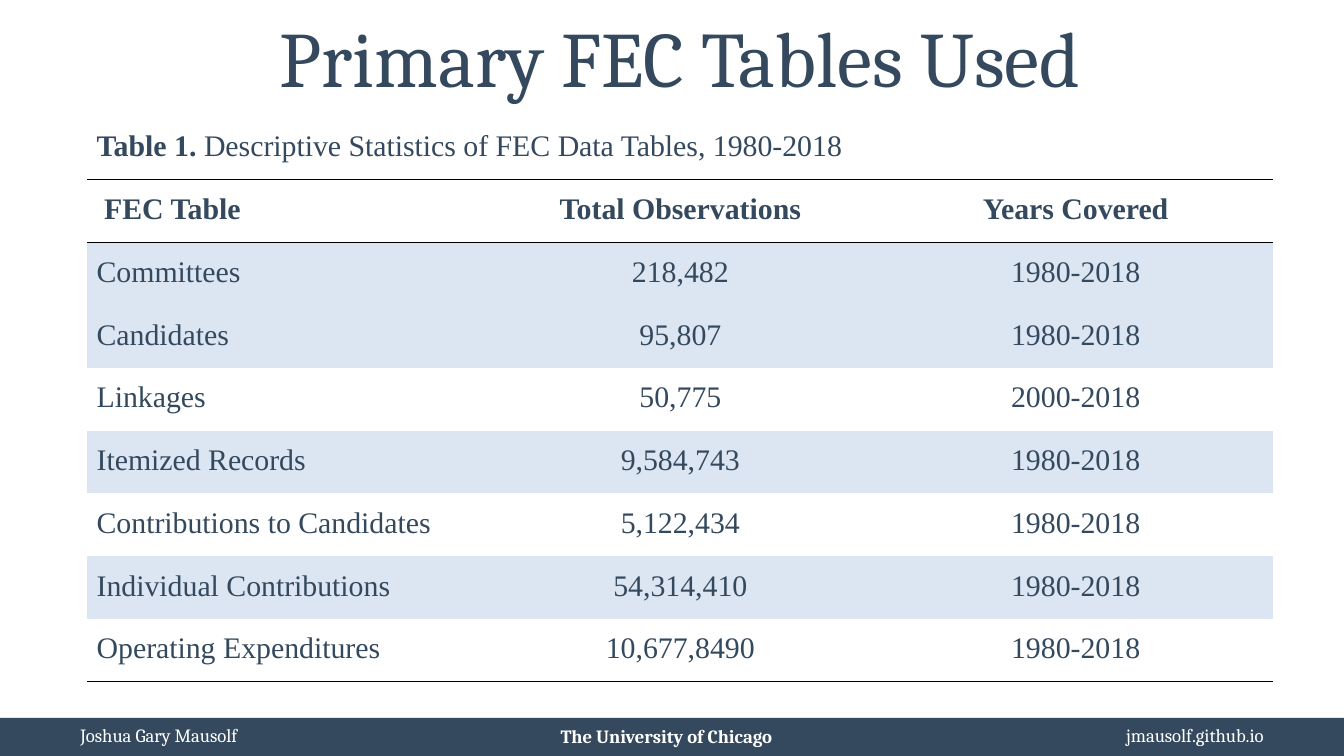
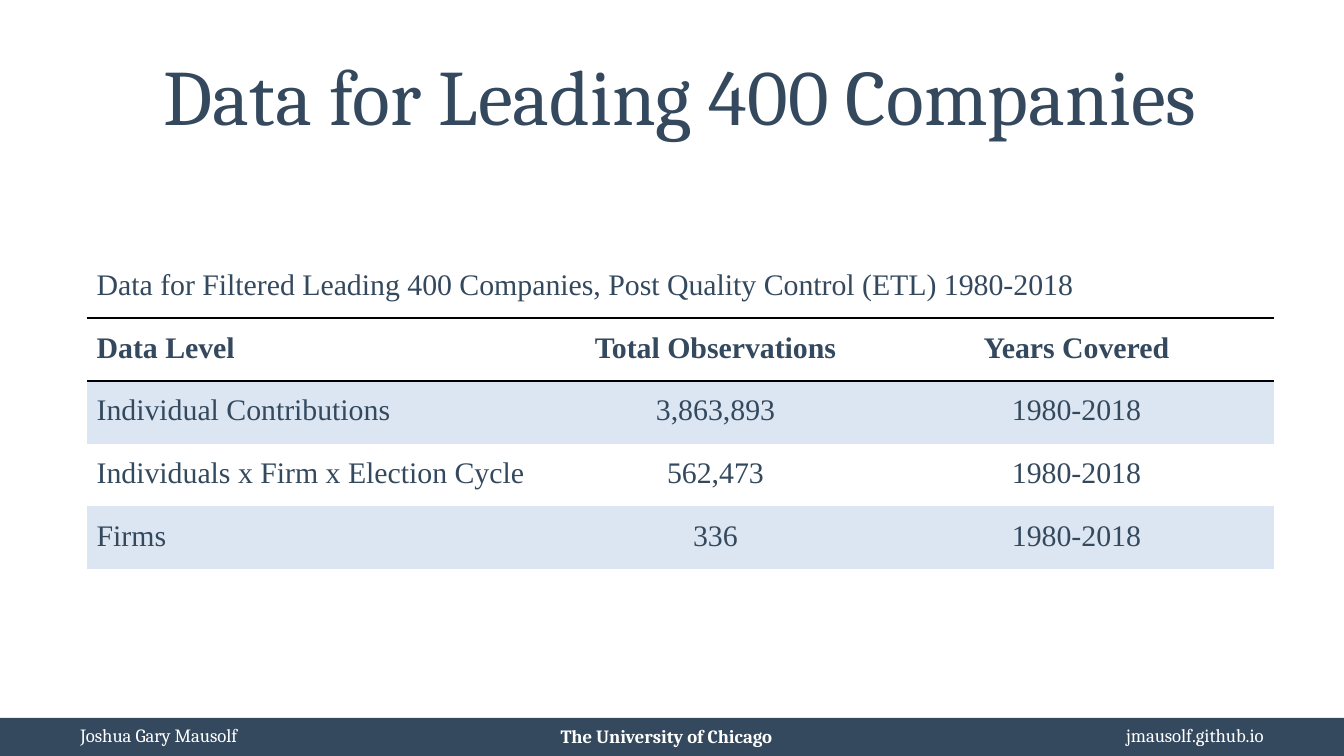
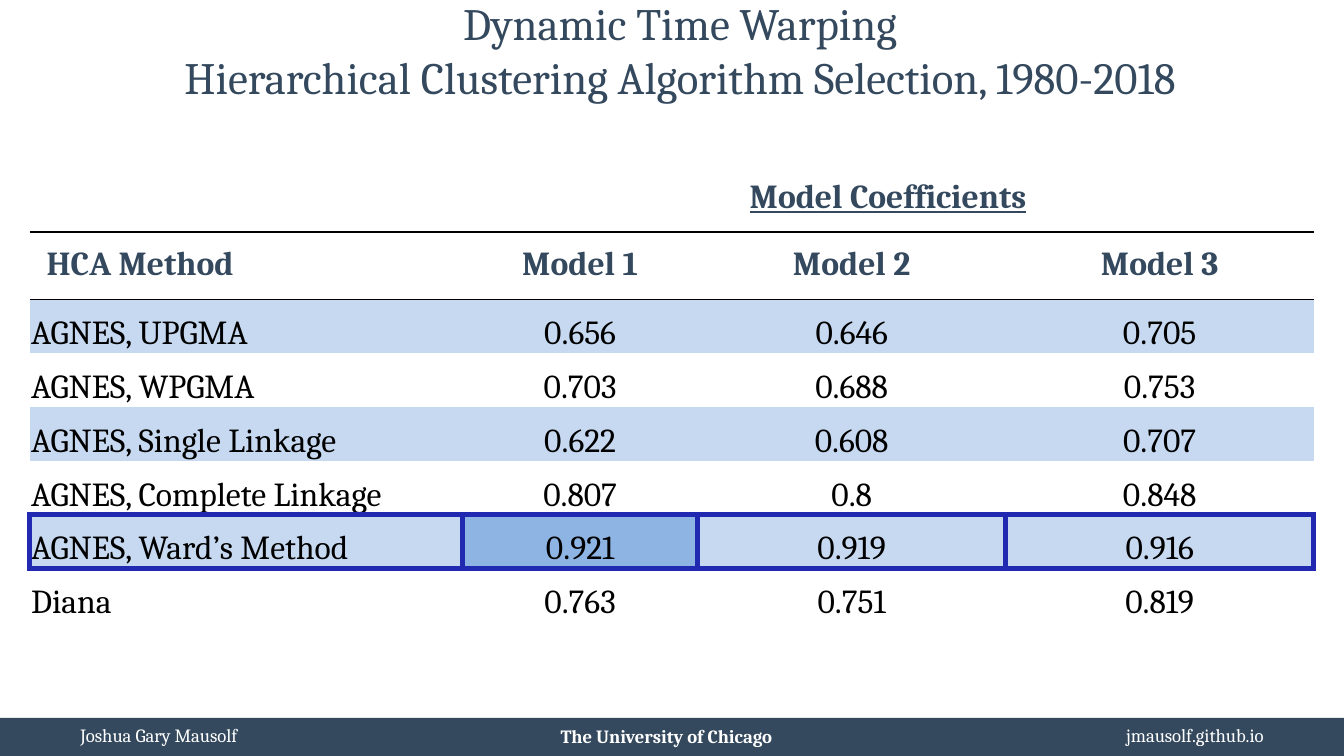
from pptx import Presentation
from pptx.dml.color import RGBColor
from pptx.enum.shapes import MSO_SHAPE
from pptx.enum.text import MSO_ANCHOR, PP_ALIGN
from pptx.oxml import parse_xml
from pptx.oxml.ns import nsdecls, qn
from pptx.util import Pt

SLATE = RGBColor(0x34, 0x49, 0x5E)
WHITE = RGBColor(0xFF, 0xFF, 0xFF)
BLACK = RGBColor(0x00, 0x00, 0x00)
PALE_BLUE = RGBColor(0xDC, 0xE6, 0xF2)
LIGHT_BLUE = RGBColor(0xC6, 0xD9, 0xF1)
MID_BLUE = RGBColor(0x8E, 0xB4, 0xE3)
OUTLINE_BLUE = RGBColor(0x21, 0x29, 0xB0)

SERIF = "Cambria"
TABLE_SERIF = "Times New Roman"
PLAIN_TABLE_STYLE = "{2D5ABB26-0587-4C30-8999-92F81FD0307C}"
BORDER_SIDES = "LRTB"
ROW_HEIGHT = 28.8
HEADER_MARGINS = (5, 7.2, 5, 7.2)
TIGHT_MARGINS = (0.7, 0.7, 0.7, 0)
INDENTED_MARGIN = 9

SLIDE_WIDTH, SLIDE_HEIGHT = 720, 405
FOOTER_BOX = (0, 384.6, SLIDE_WIDTH, 20.4)
TITLE_LEFT, TITLE_WIDTH, TITLE_HEIGHT = 15.8, 697, 54.7

FEC_ROWS = [
    ("FEC Table", "Total Observations", "Years Covered"),
    ("Committees", "218,482", "1980-2018"),
    ("Candidates", "95,807", "1980-2018"),
    ("Linkages", "50,775", "2000-2018"),
    ("Itemized Records", "9,584,743", "1980-2018"),
    ("Contributions to Candidates", "5,122,434", "1980-2018"),
    ("Individual Contributions", "54,314,410", "1980-2018"),
    ("Operating Expenditures", "10,677,8490", "1980-2018"),
]
COMPANY_ROWS = [
    ("Data Level", "Total Observations", "Years Covered"),
    ("Individual Contributions", "3,863,893", "1980-2018"),
    ("Individuals x Firm x Election Cycle", "562,473", "1980-2018"),
    ("Firms", "336", "1980-2018"),
]
MODEL_ROWS = [
    ("HCA Method", "Model 1", "Model 2", "Model 3"),
    ("AGNES, UPGMA", "0.656", "0.646", "0.705"),
    ("AGNES, WPGMA", "0.703", "0.688", "0.753"),
    ("AGNES, Single Linkage", "0.622", "0.608", "0.707"),
    ("AGNES, Complete Linkage", "0.807", "0.8", "0.848"),
    ("AGNES, Ward’s Method", "0.921", "0.919", "0.916"),
    ("Diana", "0.763", "0.751", "0.819"),
]


def set_font(paragraph, name, size, color, bold=False):
    font = paragraph.font
    font.name = name
    font.size = Pt(size)
    font.color.rgb = color
    font.bold = bold


def set_margins(target, margins):
    left, top, right, bottom = margins
    target.margin_left, target.margin_top = Pt(left), Pt(top)
    target.margin_right, target.margin_bottom = Pt(right), Pt(bottom)


def add_text(slide, box, text, size, color, alignment, anchor, margins, bold=False):
    frame = slide.shapes.add_textbox(*map(Pt, box)).text_frame
    frame.word_wrap = True
    frame.vertical_anchor = anchor
    set_margins(frame, margins)
    frame.text = text
    paragraph = frame.paragraphs[0]
    paragraph.alignment = alignment
    set_font(paragraph, SERIF, size, color, bold)


def add_footer(slide, box):
    left, top, width, height = box
    band = slide.shapes.add_shape(MSO_SHAPE.RECTANGLE, *map(Pt, box))
    band.shadow.inherit = False
    band.fill.solid()
    band.fill.fore_color.rgb = SLATE
    band.line.fill.background()
    labels = [
        ("The University of Chicago", 176.4, -5.2, 361, 29.6, PP_ALIGN.CENTER, True),
        ("jmausolf.github.io", 566, -1.6, 118, 21.6, PP_ALIGN.RIGHT, False),
        ("Joshua Gary Mausolf", 36, -1.6, 149, 21.6, PP_ALIGN.LEFT, False),
    ]
    for text, x, y, label_width, label_height, alignment, bold in labels:
        add_text(slide, (left + x, top + y, label_width, label_height), text, 10, WHITE,
                 alignment, MSO_ANCHOR.MIDDLE, (7.2, 3.6, 7.2, 3.6), bold)


def add_titled_slide(presentation, title, top, size):
    slide = presentation.slides.add_slide(presentation.slide_layouts[6])
    add_footer(slide, FOOTER_BOX)
    add_text(slide, (TITLE_LEFT, top, TITLE_WIDTH, TITLE_HEIGHT), title, size, SLATE,
             PP_ALIGN.CENTER, MSO_ANCHOR.BOTTOM, (7.2,) * 4)
    return slide


def set_border(cell, side, color, width):
    properties = cell._tc.get_or_add_tcPr()
    earlier = BORDER_SIDES[:BORDER_SIDES.index(side)]
    position = sum(properties.find(qn(f"a:ln{other}")) is not None for other in earlier)
    properties.insert(position, parse_xml(
        f'<a:ln{side} {nsdecls("a")} w="{Pt(width)}" cap="flat" cmpd="sng">'
        f'<a:solidFill><a:srgbClr val="{color}"/></a:solidFill>'
        f'<a:prstDash val="solid"/></a:ln{side}>'))


def rule_below(table, row, color, width):
    for column in range(len(table.columns)):
        set_border(table.cell(row, column), "B", color, width)
        if row + 1 < len(table.rows):
            set_border(table.cell(row + 1, column), "T", color, width)


def rule_right(table, row, column, color, width):
    set_border(table.cell(row, column), "R", color, width)
    if column + 1 < len(table.columns):
        set_border(table.cell(row, column + 1), "L", color, width)


def fill_cell(cell, color):
    if color is None:
        cell.fill.background()
    else:
        cell.fill.solid()
        cell.fill.fore_color.rgb = color


def write_cell(cell, text, font_name, size, color, bold, alignment, margins):
    cell.text = text
    set_margins(cell, margins)
    paragraph = cell.text_frame.paragraphs[0]
    paragraph.alignment = alignment
    set_font(paragraph, font_name, size, color, bold)


def add_data_table(slide, left, top, widths, rows, font_name, size, body_color,
                   body_margins, body_anchor, row_fills):
    frame = slide.shapes.add_table(len(rows) + 1, len(widths), Pt(left), Pt(top),
                                   Pt(sum(widths)), Pt(ROW_HEIGHT * (len(rows) + 1)))
    table = frame.table
    table.first_row = table.horz_banding = False
    table._tbl.tblPr.find(qn("a:tableStyleId")).text = PLAIN_TABLE_STYLE
    for column, width in zip(table.columns, widths):
        column.width = Pt(width)
    for row in table.rows:
        row.height = Pt(ROW_HEIGHT)
    for cell in table.rows[0].cells:
        write_cell(cell, "", font_name, size, SLATE, False, PP_ALIGN.LEFT, HEADER_MARGINS)
        fill_cell(cell, None)
    for row_number, (values, fill) in enumerate(zip(rows, [None, *row_fills]), start=1):
        header = row_number == 1
        for column_number, value in enumerate(values):
            cell = table.cell(row_number, column_number)
            write_cell(cell, value, font_name, size, SLATE if header else body_color, header,
                       PP_ALIGN.CENTER if column_number else PP_ALIGN.LEFT,
                       HEADER_MARGINS if header else body_margins)
            cell.vertical_anchor = MSO_ANCHOR.TOP if header else body_anchor
            fill_cell(cell, fill)
    rule_below(table, 0, BLACK, 1)
    return table


def add_captioned_table(slide, top, widths, rows, row_fills, caption, label=None):
    table = add_data_table(slide, 46.8, top, widths, rows, TABLE_SERIF, 16, SLATE,
                           HEADER_MARGINS, MSO_ANCHOR.TOP, row_fills)
    table.cell(0, 0).merge(table.cell(0, len(widths) - 1))
    paragraph = table.cell(0, 0).text_frame.paragraphs[0]
    if label:
        run = paragraph.add_run()
        run.text = f"{label} "
        run.font.bold = True
    paragraph.add_run().text = caption
    return table


def build_fec_slide(presentation):
    slide = add_titled_slide(presentation, "Primary FEC Tables Used", 7.9, 42)
    fills = [PALE_BLUE, PALE_BLUE, None, PALE_BLUE, None, PALE_BLUE, None]
    table = add_captioned_table(slide, 62.6, [211.8] * 3, FEC_ROWS, fills,
                                "Descriptive Statistics of FEC Data Tables, 1980-2018",
                                "Table 1.")
    table.cell(1, 0).margin_left = Pt(INDENTED_MARGIN)
    rule_below(table, len(FEC_ROWS), BLACK, 1)


def build_company_slide(presentation):
    slide = add_titled_slide(presentation, "Data for Leading 400 Companies", 28.1, 42)
    add_captioned_table(
        slide, 136.8, [249, 175, 211.8], COMPANY_ROWS, [PALE_BLUE, None, PALE_BLUE],
        "Data for Filtered Leading 400 Companies, Post Quality Control (ETL) 1980-2018")


def build_model_slide(presentation):
    slide = add_titled_slide(
        presentation,
        "Dynamic Time Warping\vHierarchical Clustering Algorithm Selection, 1980-2018",
        7.9, 24)
    table = add_data_table(slide, 16, 88.4, [231.8, 126, 165, 165], MODEL_ROWS, SERIF, 18,
                           BLACK, TIGHT_MARGINS, MSO_ANCHOR.BOTTOM, [LIGHT_BLUE, WHITE] * 3)
    table.cell(1, 0).margin_left = Pt(INDENTED_MARGIN)
    heading = table.cell(0, 1)
    heading.merge(table.cell(0, 3))
    write_cell(heading, "Model Coefficients", SERIF, 18, SLATE, True, PP_ALIGN.CENTER,
               HEADER_MARGINS)
    heading.text_frame.paragraphs[0].font.underline = True

    best_row = 6
    fill_cell(table.cell(best_row, 1), MID_BLUE)
    for row in (best_row - 1, best_row):
        rule_below(table, row, OUTLINE_BLUE, 3)
    set_border(table.cell(best_row, 0), "L", OUTLINE_BLUE, 3)
    for column in (0, 1, 3):
        rule_right(table, best_row, column, OUTLINE_BLUE, 3)


def main():
    presentation = Presentation()
    presentation.slide_width = Pt(SLIDE_WIDTH)
    presentation.slide_height = Pt(SLIDE_HEIGHT)
    build_fec_slide(presentation)
    build_company_slide(presentation)
    build_model_slide(presentation)
    presentation.save("out.pptx")


if __name__ == "__main__":
    main()
